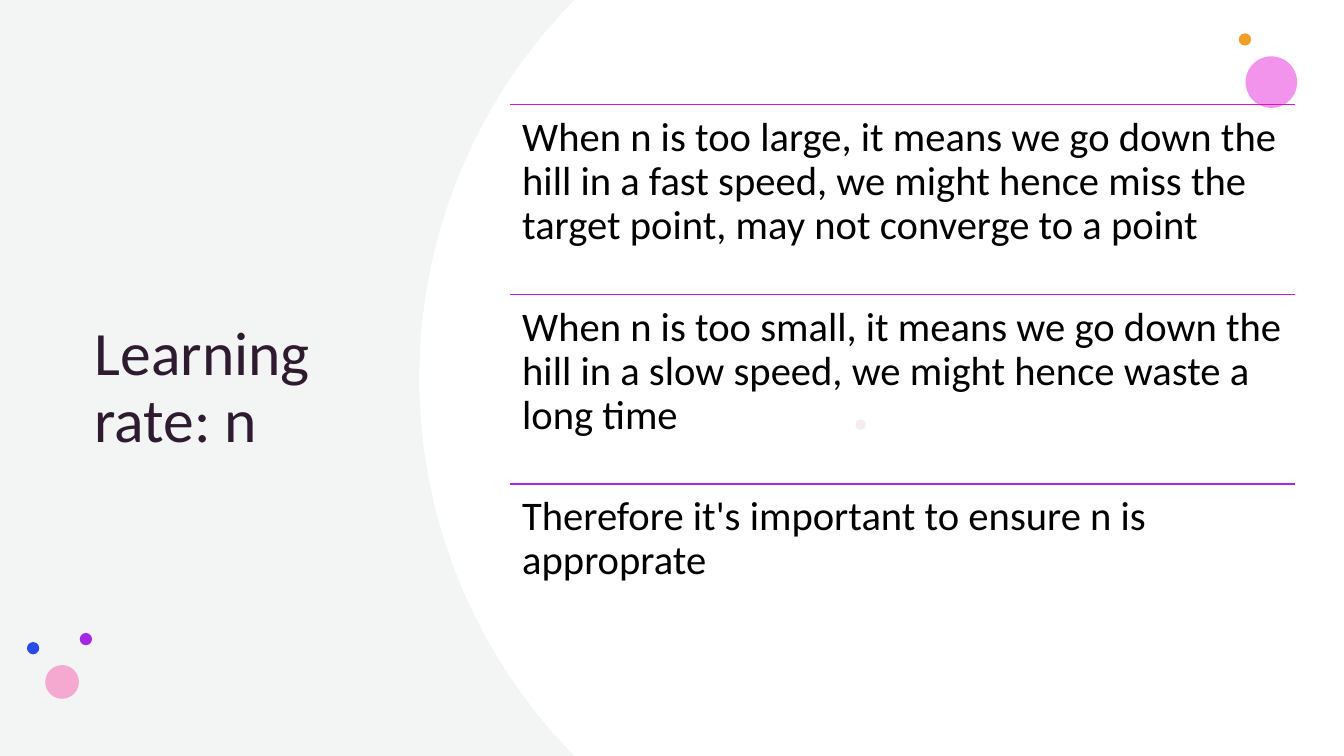
from dataclasses import dataclass
from math import asin, cos, sin

from lxml import etree
from pptx import Presentation
from pptx.dml.color import RGBColor
from pptx.enum.shapes import MSO_CONNECTOR, MSO_SHAPE
from pptx.enum.text import MSO_ANCHOR, MSO_AUTO_SIZE, PP_ALIGN
from pptx.oxml.ns import qn
from pptx.util import Cm, Pt

RECTANGLE, OVAL = MSO_SHAPE.RECTANGLE, MSO_SHAPE.OVAL
STRAIGHT = MSO_CONNECTOR.STRAIGHT
TOP, MIDDLE = MSO_ANCHOR.TOP, MSO_ANCHOR.MIDDLE
LEFT = PP_ALIGN.LEFT
NO_AUTOFIT = MSO_AUTO_SIZE.NONE
TITLE_ONLY = 5
WIDTH, HEIGHT = 33.87, 19.05  # centimetres


@dataclass(frozen=True)
class Theme:
    font: str = "Calibri"
    title_size: int = 44
    body_size: int = 29
    line_spacing: float = 0.9
    rule_width: int = 1
    paper: str = "FFFFFF"
    panel: str = "D5DEDB"
    title: str = "2F1B2F"
    body: str = "000000"
    pink: str = "EF6BE6"
    orange: str = "F39E29"
    blush: str = "E3BEBE"
    violet: str = "A429E7"
    rose: str = "F5A9D1"
    blue: str = "294CE7"
    magenta: str = "D517C8"
    orchid: str = "C819E5"


class SlideBuilder:
    def __init__(self, slide, theme):
        self.slide = slide
        self.theme = theme

    def paint(self, shape, color, opacity=100):
        shape.shadow.inherit = False
        shape.line.fill.background()
        shape.fill.solid()
        shape.fill.fore_color.rgb = RGBColor.from_string(color)
        if opacity < 100:
            color_element = shape._element.spPr.find(".//" + qn("a:srgbClr"))
            alpha = etree.SubElement(color_element, qn("a:alpha"))
            alpha.set("val", str(opacity * 1000))

    def shape(self, kind, left, top, width, height, color, opacity=100):
        shape = self.slide.shapes.add_shape(
            kind, Cm(left), Cm(top), Cm(width), Cm(height))
        self.paint(shape, color, opacity)

    def curved_panel(self, left, radius, color, steps=80):
        """Fill the area right of an arc that bulges to the left."""
        half_angle = asin(HEIGHT / 2 / radius)
        angles = [half_angle * (2 * step / steps - 1) for step in range(steps + 1)]
        arc = [(Cm(left + radius * (1 - cos(angle))),
                Cm(HEIGHT / 2 + radius * sin(angle))) for angle in angles]
        builder = self.slide.shapes.build_freeform(*arc[0])
        builder.add_line_segments(
            arc[1:] + [(Cm(WIDTH), Cm(HEIGHT)), (Cm(WIDTH), 0)], close=True)
        self.paint(builder.convert_to_shape(), color)

    def fill_text(self, frame, text, size, color, anchor):
        frame.word_wrap = True
        frame.auto_size = NO_AUTOFIT
        frame.vertical_anchor = anchor
        paragraph = frame.paragraphs[0]
        paragraph.alignment = LEFT
        paragraph.line_spacing = self.theme.line_spacing
        run = paragraph.add_run()
        run.text = text
        run.font.name = self.theme.font
        run.font.size = Pt(size)
        run.font.color.rgb = RGBColor.from_string(color)

    def title(self, text, left, top, width, height):
        title = self.slide.shapes.title
        title.left, title.top = Cm(left), Cm(top)
        title.width, title.height = Cm(width), Cm(height)
        self.fill_text(title.text_frame, text, self.theme.title_size,
                       self.theme.title, MIDDLE)
        # Bring the title in front of the panels
        self.slide.shapes._spTree.append(title._element)

    def rule(self, left, top, width, color):
        rule = self.slide.shapes.add_connector(
            STRAIGHT, Cm(left), Cm(top), Cm(left + width), Cm(top))
        rule.line.color.rgb = RGBColor.from_string(color)
        rule.line.width = Pt(self.theme.rule_width)
        etree.SubElement(rule._element.spPr, qn("a:effectLst"))

    def body(self, text, left, top, width, height, inset=0.3):
        box = self.slide.shapes.add_textbox(
            Cm(left), Cm(top), Cm(width), Cm(height))
        frame = box.text_frame
        frame.margin_left = frame.margin_right = Cm(inset)
        frame.margin_top = frame.margin_bottom = Cm(inset)
        self.fill_text(frame, text, self.theme.body_size, self.theme.body, TOP)


def main():
    theme = Theme()
    presentation = Presentation()
    presentation.slide_width, presentation.slide_height = Cm(WIDTH), Cm(HEIGHT)
    slide = presentation.slides.add_slide(presentation.slide_layouts[TITLE_ONLY])
    builder = SlideBuilder(slide, theme)

    # Backdrop
    builder.shape(RECTANGLE, 0, 0, WIDTH, HEIGHT, theme.paper)
    builder.shape(RECTANGLE, 0, 0, WIDTH, HEIGHT, theme.panel, 30)
    builder.curved_panel(10.57, 13.55, theme.paper)

    # Decorative dots: left, top, diameter, colour, opacity
    dots = [
        (31.39, 1.42, 1.3, theme.pink, 72),
        (31.22, 0.84, 0.31, theme.orange, 100),
        (21.56, 10.57, 0.26, theme.blush, 28),
        (2.01, 15.95, 0.31, theme.violet, 100),
        (1.14, 16.76, 0.85, theme.rose, 100),
        (0.68, 16.18, 0.31, theme.blue, 100),
    ]
    for left, top, diameter, color, opacity in dots:
        builder.shape(OVAL, left, top, diameter, diameter, color, opacity)

    # Title
    content_top, content_height = 2.64, 14.33
    builder.title("Learning rate: n", 2.13, content_top, 7.95, content_height)

    # Ruled statements
    statements = [
        ("When n is too large, it means we go down the hill in a fast speed, "
         "we might hence miss the target point, may not converge to a point",
         theme.magenta),
        ("When n is too small, it means we go down the hill in a slow speed, "
         "we might hence waste a long time", theme.orchid),
        ("Therefore it's important to ensure n is approprate", theme.violet),
    ]
    left, width = 12.86, 19.77
    row_height = content_height / len(statements)
    for index, (text, color) in enumerate(statements):
        top = content_top + index * row_height
        builder.rule(left, top, width, color)
        builder.body(text, left, top, width, row_height)

    presentation.save("out.pptx")


if __name__ == "__main__":
    main()
